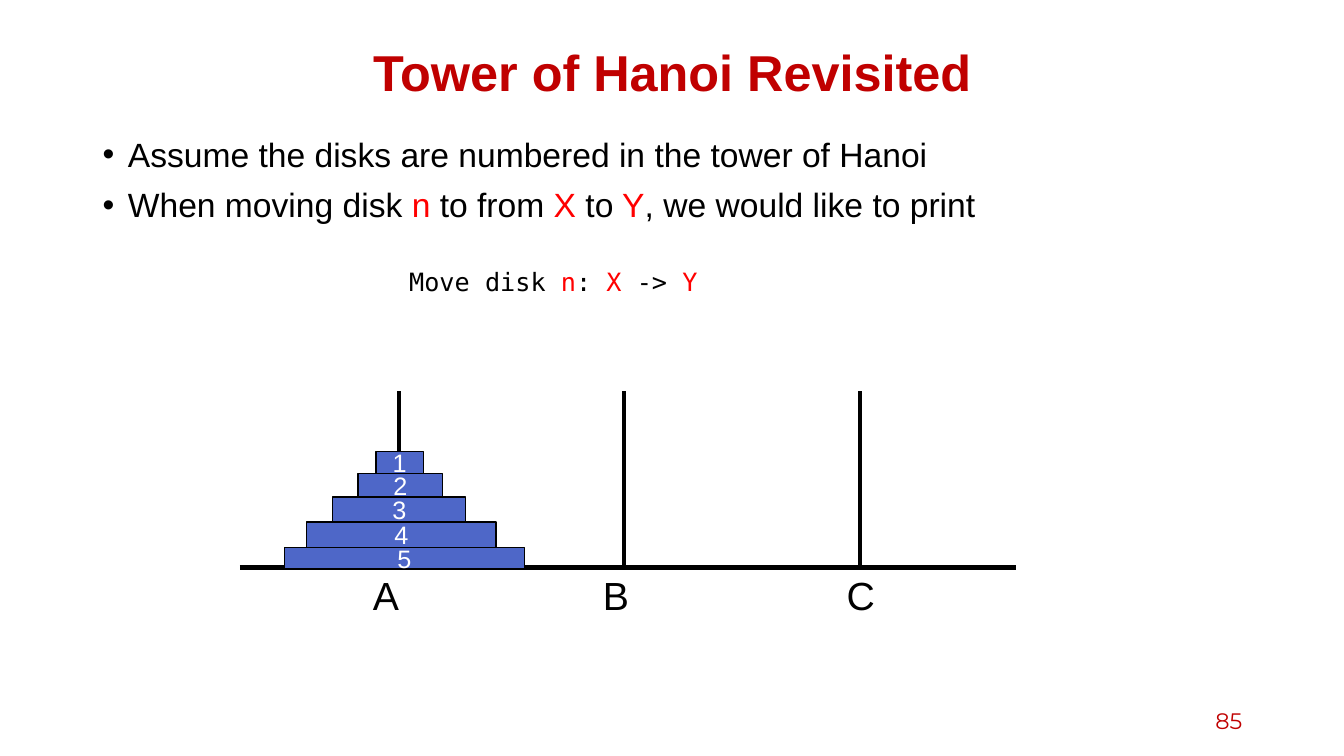
from dataclasses import dataclass

from lxml.etree import SubElement
from pptx import Presentation
from pptx.dml.color import RGBColor
from pptx.enum.shapes import MSO_CONNECTOR, MSO_SHAPE
from pptx.enum.text import MSO_ANCHOR, PP_ALIGN
from pptx.oxml.ns import qn
from pptx.util import Inches, Pt


@dataclass(frozen=True)
class Theme:
    head: str = "C00000"
    ink: str = "000000"
    mark: str = "FF0000"
    disk: str = "4E67C8"
    pale: str = "FFFFFF"
    sans: str = "Arial"
    mono: str = "DejaVu Sans Mono"
    page: str = "Montserrat"
    title: int = 36
    label: int = 28
    body: int = 24
    small: int = 18
    foot: int = 16
    rod: int = 3
    edge: int = 1


THEME = Theme()


def color(code):
    return RGBColor.from_string(code)


def add_box(slide, box, anchor=MSO_ANCHOR.TOP):
    frame = slide.shapes.add_textbox(*map(Inches, box)).text_frame
    frame.word_wrap = True
    frame.vertical_anchor = anchor
    return frame


def write(para, text, size, ink=THEME.ink, face=THEME.sans, bold=False):
    for i, part in enumerate(text.split("*")):
        run = para.add_run()
        run.text = part
        run.font.name = face
        run.font.size = Pt(size)
        run.font.bold = bold
        run.font.color.rgb = color(THEME.mark if i % 2 else ink)


def add_title(slide, box, text):
    para = add_box(slide, box, MSO_ANCHOR.MIDDLE).paragraphs[0]
    para.alignment = PP_ALIGN.CENTER
    para.line_spacing = 0.9
    write(para, text, THEME.title, THEME.head, bold=True)


def add_list(slide, box, items):
    frame = add_box(slide, box)
    for i, item in enumerate(items):
        para = frame.add_paragraph() if i else frame.paragraphs[0]
        para.line_spacing = 0.9
        if i:
            para.space_before = Pt(10)
        props = para._p.get_or_add_pPr()
        props.set("marL", str(Inches(0.25)))
        props.set("indent", str(Inches(-0.25)))
        SubElement(props, qn("a:buFont"), typeface=THEME.sans)
        SubElement(props, qn("a:buChar"), char="•")
        write(para, item, THEME.body)


def add_code(slide, box, text):
    para = add_box(slide, box).paragraphs[0]
    write(para, text, THEME.small, face=THEME.mono)


def add_page(slide, box, text):
    para = add_box(slide, box, MSO_ANCHOR.MIDDLE).paragraphs[0]
    para.alignment = PP_ALIGN.RIGHT
    write(para, text, THEME.foot, THEME.head, THEME.page)


def add_line(slide, *ends):
    line = slide.shapes.add_connector(MSO_CONNECTOR.STRAIGHT, *map(Inches, ends))
    line.line.color.rgb = color(THEME.ink)
    line.line.width = Pt(THEME.rod)
    SubElement(line._element.spPr, qn("a:effectLst"))


def add_disk(slide, box, text):
    disk = slide.shapes.add_shape(MSO_SHAPE.RECTANGLE, *map(Inches, box))
    disk.shadow.inherit = False
    disk.fill.solid()
    disk.fill.fore_color.rgb = color(THEME.disk)
    disk.line.color.rgb = color(THEME.ink)
    disk.line.width = Pt(THEME.edge)
    frame = disk.text_frame
    frame.word_wrap = False
    frame.vertical_anchor = MSO_ANCHOR.MIDDLE
    para = frame.paragraphs[0]
    para.alignment = PP_ALIGN.CENTER
    write(para, text, THEME.small, THEME.pale)


def add_names(slide, box, names, stops):
    para = add_box(slide, box).paragraphs[0]
    tabs = SubElement(para._p.get_or_add_pPr(), qn("a:tabLst"))
    for stop in stops:
        SubElement(tabs, qn("a:tab"), pos=str(Inches(stop)), algn="ctr")
    write(para, "".join("\t" + name for name in names), THEME.label)


def add_tower(slide, box):
    left, top, width, height = box
    base = top + height
    add_line(slide, left, base, left + width, base)
    for shift in (1.58, 3.81, 6.15):
        add_line(slide, left + shift, top, left + shift, base)
    disks = [(0.44, 2.38, 0.21), (0.66, 1.88, 0.25), (0.92, 1.32, 0.25),
             (1.17, 0.84, 0.23), (1.35, 0.47, 0.22)]
    foot = base + 0.01
    for i, (shift, wide, tall) in enumerate(disks):
        foot -= tall
        add_disk(slide, (left + shift, foot, wide, tall), str(len(disks) - i))
    add_names(slide, (left + 0.92, base - 0.01, 6.24, 0.57), "ABC", (0.43, 2.71, 5.14))


def main():
    deck = Presentation()
    deck.slide_width, deck.slide_height = Inches(13.33), Inches(7.5)
    slide = deck.slides.add_slide(deck.slide_layouts[6])
    add_title(slide, (0.92, 0.4, 11.5, 0.7), "Tower of Hanoi Revisited")
    add_list(slide, (0.92, 1.32, 11.5, 5.51), [
        "Assume the disks are numbered in the tower of Hanoi",
        "When moving disk *n* to from *X *to* Y*, we would like to print",
    ])
    add_page(slide, (9.42, 6.95, 3, 0.4), "85")
    add_tower(slide, (2.38, 3.88, 7.7, 1.75))
    add_code(slide, (3.96, 2.59, 4.13, 0.4), "Move disk *n*: *X* -> *Y*")
    deck.save("out.pptx")


if __name__ == "__main__":
    main()
